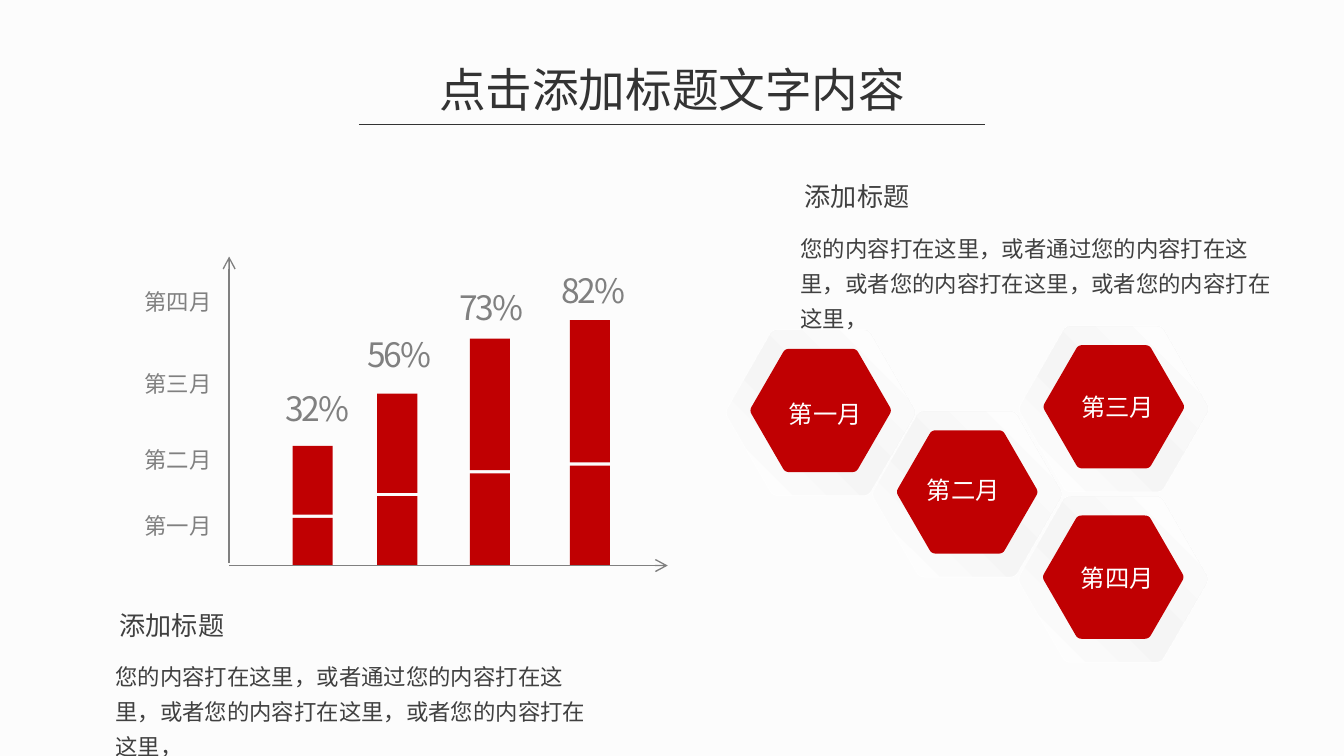
from copy import deepcopy
from math import cos, pi, sin, sqrt

from lxml.etree import SubElement
from pptx import Presentation
from pptx.dml.color import RGBColor
from pptx.enum.shapes import MSO_CONNECTOR as Connector, MSO_SHAPE as Shape
from pptx.enum.text import MSO_AUTO_SIZE as AutoSize, PP_ALIGN as Align
from pptx.oxml.ns import qn
from pptx.util import Cm, Pt

FONT = "Noto Sans CJK SC"
BACKGROUND = RGBColor(0xFC, 0xFC, 0xFC)
INK = RGBColor(0x33, 0x33, 0x33)
BODY = RGBColor(0x40, 0x40, 0x40)
GREY = RGBColor(0x80, 0x80, 0x80)
PALE = RGBColor(0xF5, 0xF5, 0xF5)
WHITE = RGBColor(0xFF, 0xFF, 0xFF)
RED = RGBColor(0xC0, 0x00, 0x02)

TITLE = "点击添加标题文字内容"
NOTE_HEADING = "添加标题"
NOTE_BODY = "您的内容打在这里，或者通过您的内容打在这里，或者您的内容打在这里，或者您的内容打在这里，"
NOTE_PLACES = [(14.88, 4.16), (1.93, 12.26)]

BARS = [
    dict(share="32%", left=5.53, lower=0.91, upper=1.3, share_at=(5.19, 7.24)),
    dict(share="56%", left=7.13, lower=1.32, upper=1.88, share_at=(6.74, 6.22)),
    dict(share="73%", left=8.88, lower=1.75, upper=2.49, share_at=(8.48, 5.33)),
    dict(share="82%", left=10.77, lower=1.9, upper=2.69, share_at=(10.41, 5)),
]
BAR_WIDTH, BAR_BASE, BAR_GAP = 0.76, 10.7, 0.06
AXES = [((4.33, 10.69), (12.62, 10.69)), ((4.33, 10.64), (4.33, 4.85))]
AXIS_MONTHS = [("第四月", 5.32), ("第三月", 6.86), ("第二月", 8.31), ("第一月", 9.55)]

HEXAGONS = [
    dict(month="第一月", center=(15.51, 7.76), label_at=(14.66, 7.42)),
    dict(month="第二月", center=(18.28, 9.3), label_at=(17.27, 8.86)),
    dict(month="第三月", center=(21.05, 7.69), label_at=(20.19, 7.29)),
    dict(month="第四月", center=(21.04, 10.91), label_at=(20.18, 10.51)),
]
RIM_HEIGHT, BEVEL_HEIGHT, CORE_HEIGHT = 3.15, 3.12, 2.33
RIM_DROP = 0.04
CORNER_CUT = 0.055
CORNER_STEPS = 4

prs = Presentation()
prs.slide_width, prs.slide_height = Cm(25.4), Cm(14.29)
slide = prs.slides.add_slide(prs.slide_layouts[6])
slide.background.fill.solid()
slide.background.fill.fore_color.rgb = BACKGROUND


def add_text(text, left, top, width, height, size, color,
             inset=(0.25, 0.13), align=Align.LEFT, leading=1, spacing=None):
    frame = slide.shapes.add_textbox(Cm(left), Cm(top), Cm(width), Cm(height)).text_frame
    frame.word_wrap = True
    frame.auto_size = AutoSize.SHAPE_TO_FIT_TEXT
    frame.margin_left = frame.margin_right = Cm(inset[0])
    frame.margin_top = frame.margin_bottom = Cm(inset[1])
    frame.text = text
    paragraph = frame.paragraphs[0]
    paragraph.alignment = align
    paragraph.line_spacing = leading
    paragraph._p.get_or_add_pPr().set("hangingPunct", "0")
    run = paragraph.runs[0]
    run.font.size = Pt(size)
    run.font.name = FONT
    run.font.color.rgb = color
    properties = run.font._element
    SubElement(properties, qn("a:ea")).set("typeface", FONT)
    if spacing:
        properties.set("spc", str(spacing))


def add_line(start, end, color, arrow=False):
    line = slide.shapes.add_connector(Connector.STRAIGHT, *map(Cm, start + end))
    line.line.color.rgb = color
    line.line.width = Pt(0.75)
    if arrow:
        SubElement(line.line._get_or_add_ln(), qn("a:tailEnd")).set("type", "arrow")
    SubElement(line._element.spPr, qn("a:effectLst"))


def clean(shape, color):
    shape.shadow.inherit = False
    shape.fill.solid()
    shape.fill.fore_color.rgb = color
    shape.line.fill.background()


def hexagon_points(center_x, center_y, height):
    radius = height / sqrt(3)
    corners = [(center_x + radius * cos(i * pi / 3), center_y + radius * sin(i * pi / 3))
               for i in range(6)]
    points = []
    for i, corner in enumerate(corners):
        before, after = corners[i - 1], corners[(i + 1) % 6]
        for step in range(CORNER_STEPS + 1):
            t = step / CORNER_STEPS
            pull_back, pull_on = CORNER_CUT * (1 - t) ** 2, CORNER_CUT * t ** 2
            points.append(tuple(Cm(c + pull_back * (b - c) + pull_on * (a - c))
                                for b, c, a in zip(before, corner, after)))
    return points


def add_hexagon(center_x, center_y, height, color):
    points = hexagon_points(center_x, center_y, height)
    builder = slide.shapes.build_freeform(*points[0])
    builder.add_line_segments(points[1:], close=True)
    hexagon = builder.convert_to_shape()
    clean(hexagon, color)
    return hexagon


def add_sheen(hexagon):
    fill = hexagon.fill
    fill.gradient()
    fill.gradient_angle = 45
    stop_list = hexagon._element.spPr.find(qn("a:gradFill")).find(qn("a:gsLst"))
    stop_list.append(deepcopy(stop_list[-1]))
    sheen = [(0, WHITE), (0.47, PALE), (1, WHITE)]
    for stop, (position, color) in zip(fill.gradient_stops, sheen):
        stop.position = position
        stop.color.rgb = color


add_text(TITLE, 8, 1.02, 9.4, 1.32, 25, INK, align=Align.CENTER)
add_line((6.78, 2.35), (18.62, 2.35), INK)

for bar in BARS:
    add_text(bar["share"], *bar["share_at"], 1.65, 0.97, 18, GREY,
             inset=(0.2, 0.1), spacing=-110)
    lower_top = BAR_BASE - bar["lower"]
    upper_top = lower_top - BAR_GAP - bar["upper"]
    for top, height in [(lower_top, bar["lower"]), (upper_top, bar["upper"])]:
        block = slide.shapes.add_shape(Shape.RECTANGLE, Cm(bar["left"]), Cm(top),
                                       Cm(BAR_WIDTH), Cm(height))
        clean(block, RED)

for hexagon in HEXAGONS:
    x, y = hexagon["center"]
    add_hexagon(x, y + RIM_DROP, RIM_HEIGHT, WHITE)
    add_sheen(add_hexagon(x, y + RIM_DROP, BEVEL_HEIGHT, WHITE))
    add_hexagon(x, y, CORE_HEIGHT, RED)
    add_text(hexagon["month"], *hexagon["label_at"], 2.21, 0.81, 13, WHITE)

for start, end in AXES:
    add_line(start, end, GREY, arrow=True)
for month, top in AXIS_MONTHS:
    add_text(month, 2.48, top, 1.85, 0.76, 12, GREY)

for left, top in NOTE_PLACES:
    add_text(NOTE_BODY, left, top, 9.63, 1.6, 12, BODY, leading=1.3)
    add_text(NOTE_HEADING, left + 0.08, top - 1.04, 2.64, 0.89, 14, BODY,
             inset=(0.25, 0), leading=1.5)

prs.save("out.pptx")
